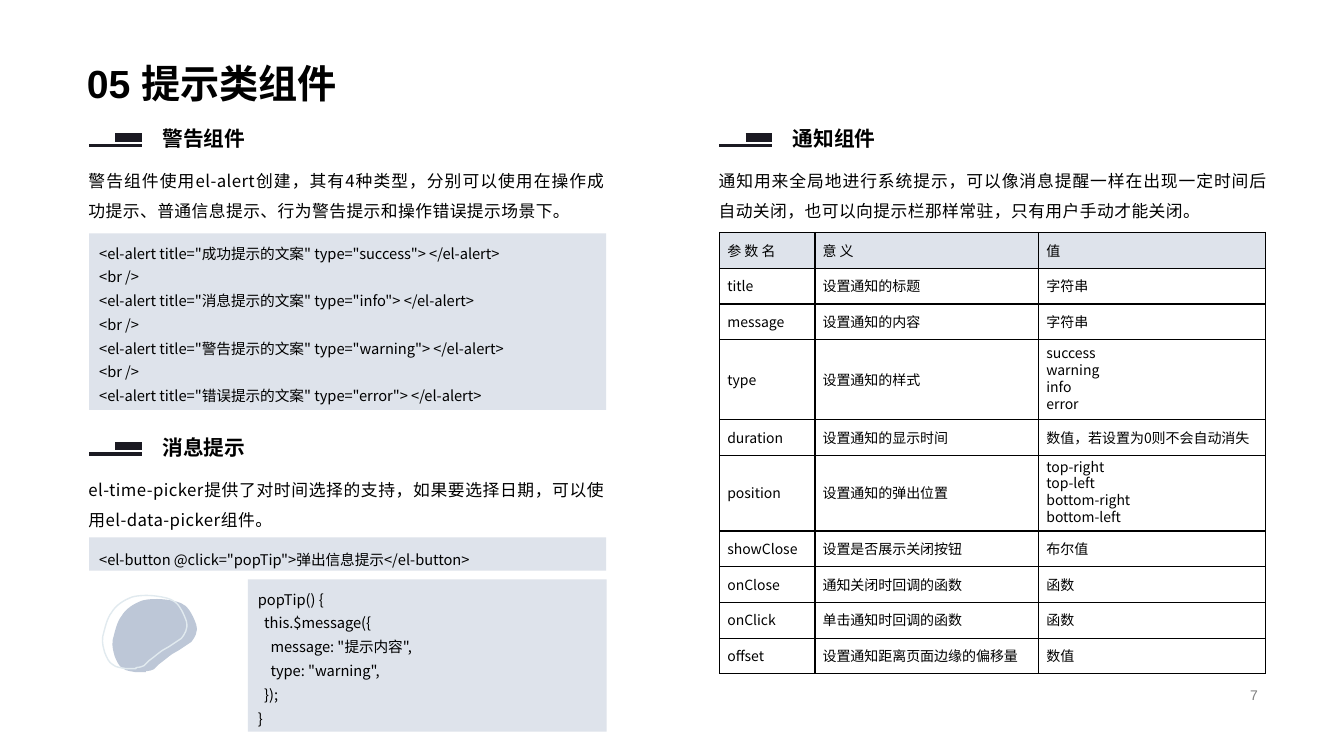
from lxml.etree import SubElement, fromstring
from pptx import Presentation
from pptx.dml.color import RGBColor
from pptx.enum.shapes import MSO_CONNECTOR, MSO_SHAPE
from pptx.enum.text import MSO_ANCHOR as ANCHOR, PP_ALIGN as ALIGN
from pptx.oxml.ns import nsdecls, qn
from pptx.util import Cm, Pt

LATIN, CJK = "Arial", "Noto Sans CJK SC"
BLACK, DARK, PANEL = "000000", "1B1A22", "DEE3EB"
LEFT, RIGHT = 2.25, 18.13
INDENT = 0.16  # cm for one level of code indentation

ALERT_CODE = [
    '<el-alert title="成功提示的文案" type="success"> </el-alert>',
    "<br />",
    '<el-alert title="消息提示的文案" type="info"> </el-alert>',
    "<br />",
    '<el-alert title="警告提示的文案" type="warning"> </el-alert>',
    "<br />",
    '<el-alert title="错误提示的文案" type="error"> </el-alert>',
]
BUTTON_CODE = ['<el-button @click="popTip">弹出信息提示</el-button>']
POPTIP_CODE = ["popTip() {", "this.$message({", 'message: "提示内容",',
               'type: "warning",', "});", "}"]
POPTIP_LEVELS = [0, 1, 2, 2, 1, 0]

PARAMETERS = [
    ("参 数 名", "意 义", "值"),
    ("title", "设置通知的标题", "字符串"),
    ("message", "设置通知的内容", "字符串"),
    ("type", "设置通知的样式", "success\nwarning\ninfo\nerror"),
    ("duration", "设置通知的显示时间", "数值，若设置为0则不会自动消失"),
    ("position", "设置通知的弹出位置", "top-right\ntop-left\nbottom-right\nbottom-left"),
    ("showClose", "设置是否展示关闭按钮", "布尔值"),
    ("onClose", "通知关闭时回调的函数", "函数"),
    ("onClick", "单击通知时回调的函数", "函数"),
    ("offset", "设置通知距离页面边缘的偏移量", "数值"),
]
COLUMN_WIDTHS = [2.4, 5.64, 5.72]
ROW_HEIGHTS = [0.9, 0.9, 0.9, 2.01, 0.9, 1.91, 0.9, 0.9, 0.9, 0.9]

# Blob outline: start point, then Bezier segments (two controls and an end)
BLOB_UNIT = 0.0254
BLOB_START = (33, 73)
BLOB_CURVES = [
    (36, 72, 39, 71, 41, 70), (42, 69, 45, 66, 46, 65), (49, 63, 56, 57, 59, 55),
    (62, 53, 63, 53, 66, 51), (69, 49, 69, 49, 78, 43), (81, 39, 85, 34, 83, 26),
    (81, 20, 77, 11, 72, 7), (67, 3, 60, 2, 53, 1), (46, 0, 36, 0, 29, 2),
    (21, 5, 13, 10, 9, 17), (4, 23, 2, 34, 0, 41), (-1, 48, 1, 53, 2, 57),
    (4, 62, 6, 67, 10, 69), (13, 72, 19, 72, 23, 73), (27, 73, 30, 73, 33, 73),
]


def rgb(color):
    return RGBColor.from_string(color)


def write(tf, lines, size, font=CJK, color=BLACK, bold=False, align=ALIGN.LEFT,
          spacing=None, tracking=0, levels=None, anchor=ANCHOR.TOP, wrap=True):
    tf.word_wrap = wrap
    tf.vertical_anchor = anchor
    for i, line in enumerate(lines):
        p = tf.paragraphs[0] if i == 0 else tf.add_paragraph()
        p.alignment = align
        p.line_spacing = spacing
        if levels:
            p._p.get_or_add_pPr().set("marL", str(Cm(INDENT * levels[i])))
        r = p.add_run()
        r.text = line
        r.font.name, r.font.size, r.font.bold = font, Pt(size), bold
        r.font.color.rgb = rgb(color)
        rPr = r._r.get_or_add_rPr()
        SubElement(rPr, qn("a:ea")).set("typeface", CJK)
        if tracking:
            rPr.set("spc", str(tracking))


def text_box(s, x, y, w, h, lines, size, **fmt):
    sp = s.shapes.add_textbox(Cm(x), Cm(y), Cm(w), Cm(h))
    write(sp.text_frame, lines, size, **fmt)


def rule(s, x1, x2, y, width):
    line = s.shapes.add_connector(MSO_CONNECTOR.STRAIGHT, Cm(x1), Cm(y), Cm(x2), Cm(y))
    line.line.color.rgb = rgb(DARK)
    line.line.width = Pt(width)
    SubElement(line._element.spPr, qn("a:effectLst"))


def section(s, x, y, w, heading, body):
    # Heading with a marker: a short thick bar over a longer thin one
    group = s.shapes.add_group_shape()
    text_box(group, x + 1.6, y, 8.79, 0.86, [heading], 14.8, font=LATIN, bold=True,
             anchor=ANCHOR.MIDDLE, wrap=False)
    rule(group, x + 0.66, x + 1.32, y + 0.41, 6)
    rule(group, x, x + 1.32, y + 0.61, 2.25)
    text_box(s, x - 0.27, y + 0.88, w, 1.7, [body], 12, align=ALIGN.JUSTIFY,
             spacing=1.5, tracking=30)


def code_panel(s, x, y, w, h, lines, spacing=1.35, levels=None):
    sp = s.shapes.add_shape(MSO_SHAPE.RECTANGLE, Cm(x), Cm(y), Cm(w), Cm(h))
    sp.shadow.inherit = False
    sp.fill.solid()
    sp.fill.fore_color.rgb = rgb(PANEL)
    sp.line.fill.background()
    write(sp.text_frame, lines, 10.5, align=ALIGN.JUSTIFY, spacing=spacing, levels=levels)


def blob(s, x, y, fill=None, line=None):
    start, *curves = [[Cm(BLOB_UNIT * v) for v in points]
                      for points in (BLOB_START, *BLOB_CURVES)]
    builder = s.shapes.build_freeform(*start)
    builder.add_line_segments([curve[4:] for curve in curves], close=True)
    sp = builder.convert_to_shape(Cm(x), Cm(y))
    # Bend each straight segment into its Bezier curve
    for segment, curve in zip(list(sp._element.iter(qn("a:lnTo"))), curves):
        segment.tag = qn("a:cubicBezTo")
        segment.remove(segment[0])
        for px, py in zip(curve[::2], curve[1::2]):
            SubElement(segment, qn("a:pt"), x=str(int(px)), y=str(int(py)))
    sp.shadow.inherit = False
    for part, color in ((sp.fill, fill), (sp.line.fill, line)):
        if color:
            part.solid()
            part.fore_color.rgb = rgb(color)
        else:
            part.background()
    if line:
        sp.line.width = Pt(1)


def border(cell):
    tcPr = cell._tc.get_or_add_tcPr()
    for i, side in enumerate("LRTB"):
        tcPr.insert(i, fromstring(
            f'<a:ln{side} {nsdecls("a")} w="{Pt(1)}"><a:solidFill>'
            f'<a:srgbClr val="{BLACK}"/></a:solidFill></a:ln{side}>'))


def parameter_table(s, x, y):
    table = s.shapes.add_table(len(PARAMETERS), len(COLUMN_WIDTHS), Cm(x), Cm(y),
                               Cm(sum(COLUMN_WIDTHS)), Cm(sum(ROW_HEIGHTS))).table
    table.first_row = table.horz_banding = False
    for column, width in zip(table.columns, COLUMN_WIDTHS):
        column.width = Cm(width)
    for i, (row, height) in enumerate(zip(table.rows, ROW_HEIGHTS)):
        row.height = Cm(height)
        for cell, text in zip(row.cells, PARAMETERS[i]):
            lines = text.split("\n")
            write(cell.text_frame, lines, 10, align=ALIGN.JUSTIFY,
                  spacing=Pt(12 if len(lines) > 1 else 14))
            cell.vertical_anchor = ANCHOR.MIDDLE
            cell.margin_left = cell.margin_right = Cm(0.19)
            cell.margin_top = cell.margin_bottom = 0
            if i == 0:
                cell.fill.solid()
                cell.fill.fore_color.rgb = rgb(PANEL)
            else:
                cell.fill.background()
            border(cell)


def components_slide(prs):
    s = prs.slides.add_slide(prs.slide_layouts[6])
    # Title and page number
    text_box(s, 1.94, 0.2, 17.83, 2.62, ["05 提示类组件"], 28, font=LATIN, bold=True,
             spacing=0.9, anchor=ANCHOR.BOTTOM)
    text_box(s, 23.92, 17.22, 8.03, 0.58, ["7"], 10, font=LATIN, color="808080",
             align=ALIGN.RIGHT, anchor=ANCHOR.MIDDLE)
    # Left column: alert and message
    section(s, LEFT, 3.05, 13.51, "警告组件",
            "警告组件使用el-alert创建，其有4种类型，分别可以使用在操作成功提示、"
            "普通信息提示、行为警告提示和操作错误提示场景下。")
    code_panel(s, LEFT, 5.88, 13.03, 4.45, ALERT_CODE)
    section(s, LEFT, 10.83, 13.51, "消息提示",
            "el-time-picker提供了对时间选择的支持，如果要选择日期，可以使用el-data-picker组件。")
    code_panel(s, LEFT, 13.54, 13.03, 0.84, BUTTON_CODE, spacing=1.5)
    code_panel(s, 6.25, 14.6, 9.04, 3.84, POPTIP_CODE, levels=POPTIP_LEVELS)
    # Decoration
    decoration = s.shapes.add_group_shape()
    blob(decoration, 2.84, 15.06, fill="BDC7D7")
    blob(decoration, 2.59, 14.97, line="E1EAEF")
    # Right column: notification
    section(s, RIGHT, 3.05, 14.33, "通知组件",
            "通知用来全局地进行系统提示，可以像消息提醒一样在出现一定时间后自动关闭，"
            "也可以向提示栏那样常驻，只有用户手动才能关闭。")
    parameter_table(s, RIGHT + 0.01, 5.86)


def main():
    prs = Presentation()
    prs.slide_width, prs.slide_height = Cm(33.87), Cm(19.05)
    components_slide(prs)
    prs.save("out.pptx")


if __name__ == "__main__":
    main()
